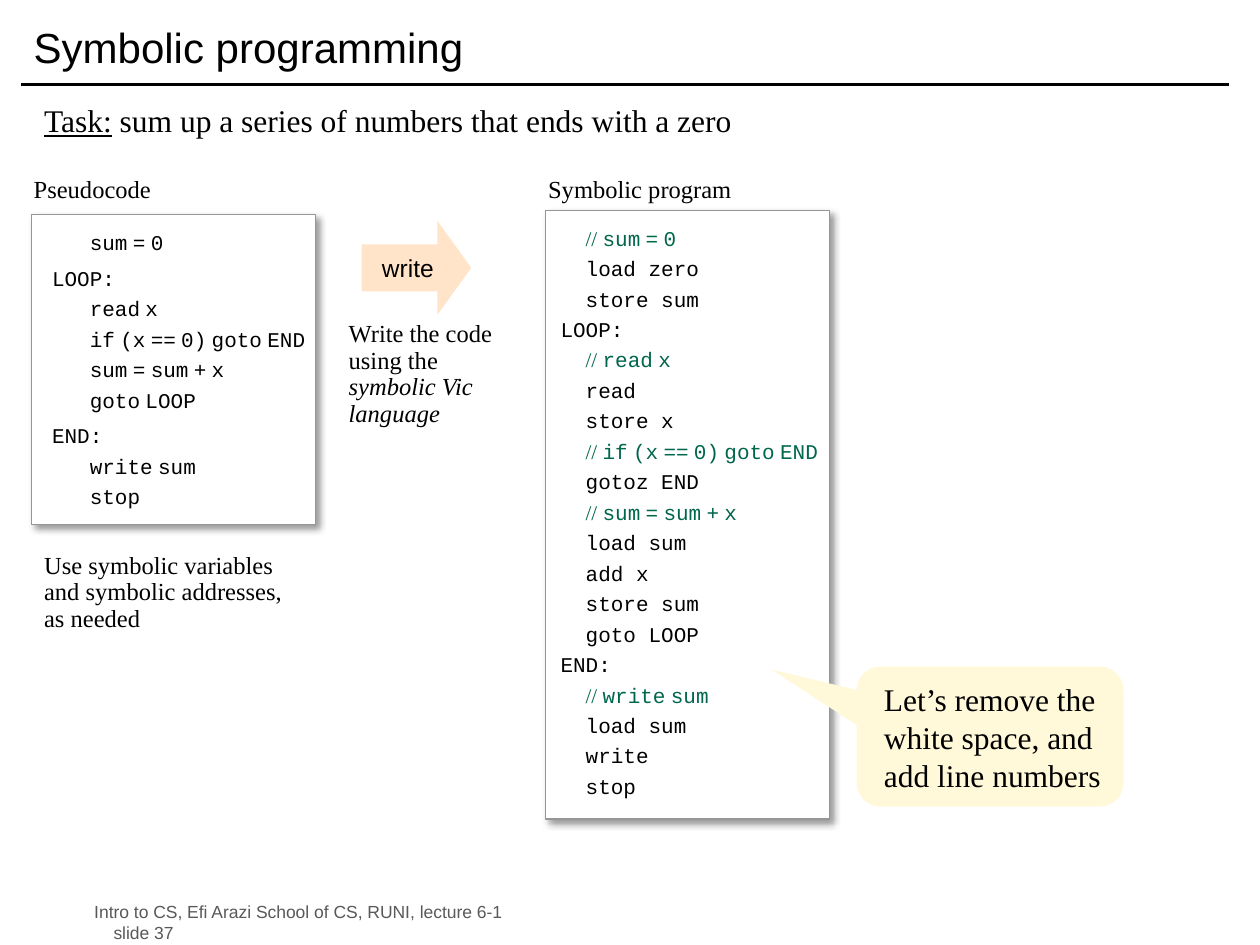
from lxml.etree import SubElement
from pptx import Presentation
from pptx.dml.color import RGBColor as Rgb
from pptx.enum.shapes import MSO_CONNECTOR as Link, MSO_SHAPE as Kind
from pptx.enum.text import MSO_ANCHOR as Anchor, PP_ALIGN as Align
from pptx.oxml.ns import qn
from pptx.util import Cm, Pt

HUES = {"ink": "000000", "note": "00664C", "gray": "595959", "edge": "969696",
        "card": "FFFFFF", "call": "FFF8D9", "arrow": "FFE4C9"}
SANS, SERIF, MONO = "Arial", "Times New Roman", "Courier New"
INSET = (0.25, 0.13, 0.25, 0.13)
HANG = 0.97

PSEUDO = """\
   sum = 0
LOOP:
   read x
   if (x == 0) goto END
   sum = sum + x
   goto LOOP
END:
   write sum
   stop"""

PROGRAM = """\
  // sum = 0
  load zero
  store sum
LOOP:
  // read x
  read
  store x
  // if (x == 0) goto END
  gotoz END
  // sum = sum + x
  load sum
  add x
  store sum
  goto LOOP
END:
  // write sum
  load sum
  write
  stop"""


class Deck:
    def __init__(self, wide, high):
        self.show = Presentation()
        self.show.slide_width, self.show.slide_height = Cm(wide), Cm(high)
        self.slide = self.show.slides.add_slide(self.show.slide_layouts[6])
        self.shapes = self.slide.shapes

    def frame(self, shape, inset=INSET, anchor=Anchor.TOP):
        body = shape.text_frame
        body.word_wrap = True
        body.vertical_anchor = anchor
        (body.margin_left, body.margin_top,
         body.margin_right, body.margin_bottom) = map(Cm, inset)
        return body

    def run(self, para, text, size, face=SERIF, hue="ink", line=None, slant=None):
        run = para.add_run()
        run.text = text
        font = run.font
        font.size, font.name = Pt(size), face
        font.underline, font.italic = line, slant
        font.color.rgb = Rgb.from_string(HUES[hue])

    def para(self, body, first, left=0, shift=0):
        """Return the first or a new left-aligned paragraph, indented in cm."""
        para = body.paragraphs[0] if first else body.add_paragraph()
        para.alignment = Align.LEFT
        props = para._p.get_or_add_pPr()
        props.set("marL", str(Cm(left)))
        props.set("indent", str(Cm(shift)))
        return para

    def text(self, area, anchor=Anchor.TOP, left=0, shift=0):
        """Add a text box and return its first paragraph."""
        box = self.shapes.add_textbox(*map(Cm, area))
        return self.para(self.frame(box, anchor=anchor), True, left, shift)

    def label(self, area, text):
        self.run(self.text(area, left=HANG, shift=-HANG), text, 14)

    def shape(self, kind, area, fill, adjust=()):
        shape = self.shapes.add_shape(kind, *map(Cm, area))
        shape.shadow.inherit = False
        shape.fill.solid()
        shape.fill.fore_color.rgb = Rgb.from_string(HUES[fill])
        shape.line.fill.background()
        for i, value in enumerate(adjust):
            shape.adjustments[i] = value
        return shape

    def rule(self, x1, x2, y):
        line = self.shapes.add_connector(Link.STRAIGHT, Cm(x1), Cm(y), Cm(x2), Cm(y))
        line.line.color.rgb = Rgb.from_string(HUES["ink"])
        line.line.width = Pt(2)
        SubElement(line._element.spPr, qn("a:effectLst"))

    def card(self, area):
        card = self.shape(Kind.RECTANGLE, area, "card")
        card.line.color.rgb = Rgb.from_string(HUES["edge"])
        card.line.width = Pt(0.75)
        glow = SubElement(card._element.spPr.find(qn("a:effectLst")), qn("a:outerShdw"),
                          blurRad=str(Pt(4)), dist=str(Pt(3)), dir="2700000",
                          algn="tl", rotWithShape="0")
        tint = SubElement(glow, qn("a:srgbClr"), val=HUES["ink"])
        SubElement(tint, qn("a:alpha"), val="40000")
        return card

    def thin(self, para, text, hue):
        """Add code words with narrow serif gaps between them."""
        for i, word in enumerate(text.split(" ")):
            if i:
                self.run(para, " ", 12, SERIF, hue)
            self.run(para, word, 12, MONO, hue)

    def code(self, area, source, inset, anchor, gap, pseudo):
        body = self.frame(self.card(area), inset, anchor)
        for i, line in enumerate(source.split("\n")):
            para = self.para(body, i == 0, HANG, -HANG)
            if i:
                para.space_before = Pt(gap if line.endswith(":") else 3)
            bare = line.lstrip()
            lead = line[:len(line) - len(bare)]
            if lead:
                self.run(para, lead, 12, MONO)
            if bare.startswith("// "):
                self.run(para, "// ", 12, SERIF, "note")
                self.thin(para, bare[3:], "note")
            elif pseudo:
                self.thin(para, bare, "ink")
            else:
                self.run(para, bare, 12, MONO)


def main():
    deck = Deck(25.4, 19.05)
    deck.rule(0.43, 24.77, 1.7)

    foot = deck.text((1.65, 18.26, 21.84, 0.64), Anchor.MIDDLE)
    deck.run(foot, "Intro to CS, Efi Arazi School of CS, RUNI, lecture 6-1", 10, SANS, "gray")
    page = deck.para(deck.shapes[-1].text_frame, False, 0.39)
    deck.run(page, "slide 37", 10, SANS, "gray")

    title = deck.text((0.43, 0.2, 24.33, 1.47), Anchor.MIDDLE)
    deck.run(title, "Symbolic programming", 24, SANS)

    task = deck.text((0.64, 1.9, 20.32, 0.84))
    deck.run(task, "Task:", 18, line=True)
    deck.run(task, " sum up a series of numbers that ends with a zero", 18)

    deck.code((11, 4.24, 5.72, 12.27), PROGRAM, (0.3, 0.3, 0, 0.53),
              Anchor.TOP, 3, False)
    deck.label((10.8, 3.38, 6.15, 1.07), "Symbolic program")

    call = deck.shape(Kind.ROUNDED_RECTANGULAR_CALLOUT, (17.27, 13.44, 5.38, 2.82),
                      "call", (-0.82, -0.48, 0.17))
    body = deck.frame(call, (0.41, 0.13, 0.25, 0.13))
    deck.run(deck.para(body, True),
             "Let’s remove the white space, and add line numbers", 18)

    arrow = deck.shape(Kind.RIGHT_ARROW, (7.29, 4.45, 2.21, 1.9), "arrow", (0.5, 0.36))
    para = deck.para(deck.frame(arrow, anchor=Anchor.MIDDLE), True)
    para.alignment = Align.CENTER
    deck.run(para, "write", 14, SANS)

    deck.label((0.43, 3.38, 6.15, 1.07), "Pseudocode")
    deck.code((0.64, 4.32, 5.72, 6.25), PSEUDO, (0.41, 0, 0, 0),
              Anchor.MIDDLE, 6, True)

    step = deck.text((6.78, 6.35, 3.81, 3.71))
    step.line_spacing = 0.9
    deck.run(step, "Write the code using the ", 14)
    deck.run(step, "symbolic Vic language", 14, slant=True)

    hint = deck.text((0.64, 11.02, 5.72, 3.71))
    hint.line_spacing = 0.9
    deck.run(hint, "Use symbolic variables and symbolic addresses,", 14)
    hint.add_line_break()
    deck.run(hint, "as needed", 14)

    deck.show.save("out.pptx")


if __name__ == "__main__":
    main()
